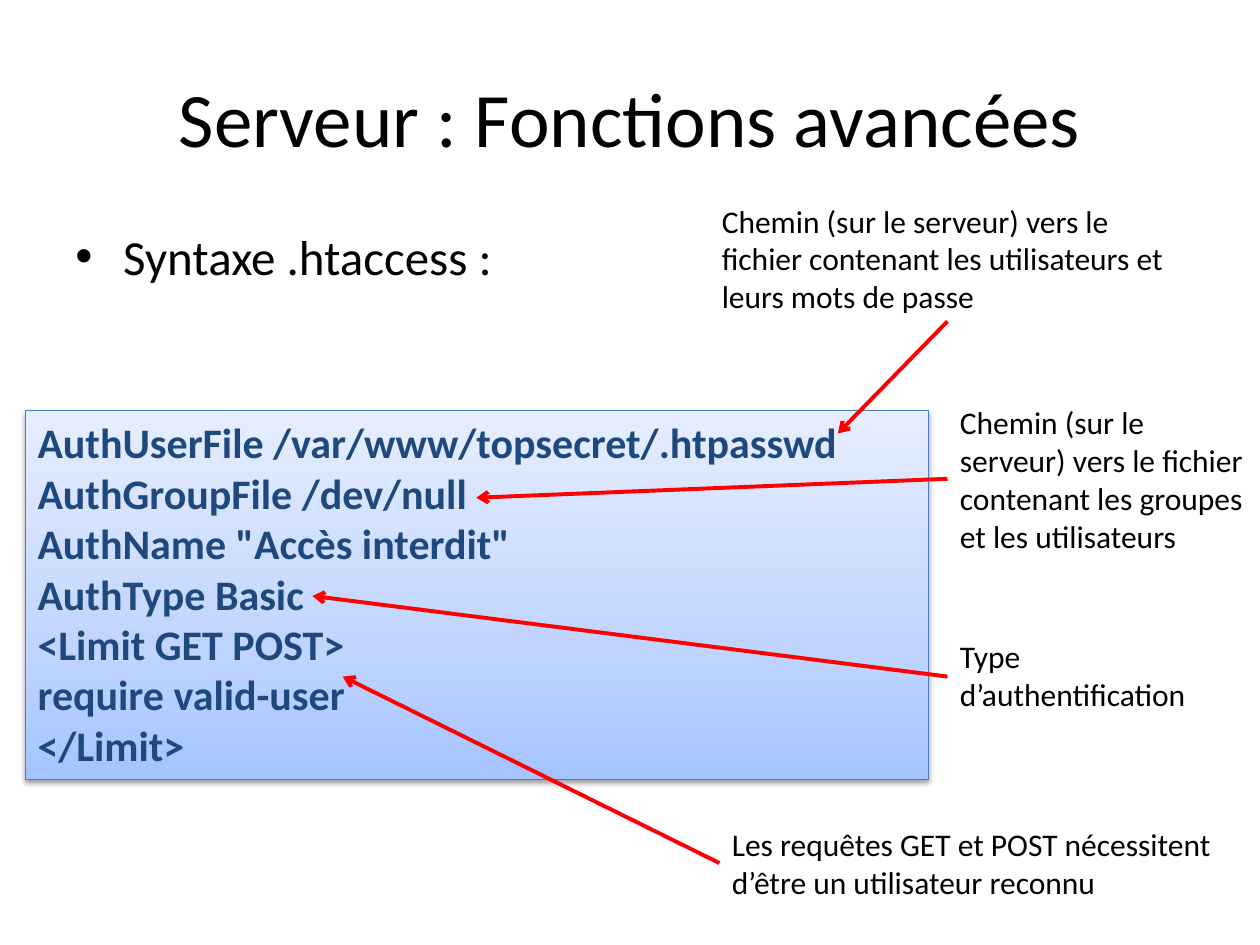
from lxml.etree import SubElement
from pptx import Presentation
from pptx.dml.color import RGBColor
from pptx.enum.shapes import MSO_CONNECTOR, MSO_SHAPE
from pptx.enum.text import MSO_ANCHOR, PP_ALIGN
from pptx.oxml.ns import qn
from pptx.util import Inches, Pt

FONT = "Calibri"
BLACK, NAVY, BLUE, RED = "000000", "1F497D", "4B7EBC", "FF0000"
GRADIENT = [(0, "A4C4FF"), (35, "BFD4FF"), (100, "E6EEFF")]

DIRECTIVES = [
    "AuthUserFile /var/www/topsecret/.htpasswd",
    "AuthGroupFile /dev/null",
    'AuthName "Accès interdit"',
    "AuthType Basic",
    "<Limit GET POST>",
    "require valid-user",
    "</Limit>",
]

# Each note: text, box, arrow start, arrow end
NOTES = [
    ("Chemin (sur le serveur) vers le fichier contenant les utilisateurs et leurs mots de passe",
     (5.63, 1.55, 3.78, 1.01), (7.52, 2.55), (6.65, 3.44)),
    ("Chemin (sur le serveur) vers le fichier contenant les groupes et les utilisateurs",
     (7.52, 3.15, 2.48, 1.31), (7.52, 3.8), (3.78, 3.95)),
    ("Type d’authentification",
     (7.52, 5.01, 2.48, 0.71), (7.52, 5.37), (2.48, 4.73)),
    ("Les requêtes GET et POST nécessitent d’être un utilisateur reconnu",
     (5.71, 6.5, 4.09, 0.71), (5.71, 6.85), (2.72, 5.37)),
]


def color(value):
    return RGBColor.from_string(value)


def inches(values):
    return [Inches(value) for value in values]


def add_child(parent, tag, **attributes):
    return SubElement(parent, qn(tag), {key: str(value) for key, value in attributes.items()})


def write_lines(frame, lines, size, ink=BLACK, bold=False, align=PP_ALIGN.LEFT):
    frame.word_wrap = True
    for index, line in enumerate(lines):
        para = frame.paragraphs[0] if index == 0 else frame.add_paragraph()
        para.alignment = align
        span = para.add_run()
        span.text = line
        for name, value in {"name": FONT, "size": Pt(size), "bold": bold}.items():
            setattr(span.font, name, value)
        span.font.color.rgb = color(ink)


def add_text(page, box, text, size, **style):
    frame = page.shapes.add_textbox(*inches(box)).text_frame
    write_lines(frame, [text], size, **style)
    return frame


def add_title(page, box):
    frame = add_text(page, box, "Serveur : Fonctions avancées", 44, align=PP_ALIGN.CENTER)
    frame.vertical_anchor = MSO_ANCHOR.MIDDLE


def add_bullet(page, box):
    para = add_text(page, box, "Syntaxe .htaccess :", 28).paragraphs[0]
    para.space_before = Pt(5.6)
    properties = para._p.get_or_add_pPr()
    properties.set("marL", str(Inches(0.38)))
    properties.set("indent", str(-Inches(0.38)))
    add_child(properties, "a:buFont", typeface="Arial")
    add_child(properties, "a:buChar", char="•")


def fill_gradient(shape):
    shape.fill.gradient()
    shape.fill.gradient_angle = 90
    stops = shape._element.spPr.find(qn("a:gradFill")).find(qn("a:gsLst"))
    for stop in list(stops):
        stops.remove(stop)
    for percent, value in GRADIENT:
        stop = add_child(stops, "a:gs", pos=percent * 1000)
        add_child(stop, "a:srgbClr", val=value)


def add_shadow(shape):
    shape.shadow.inherit = False
    effects = shape._element.spPr.find(qn("a:effectLst"))
    shadow = add_child(effects, "a:outerShdw", blurRad=Pt(3.1), dist=Pt(1.6),
                       dir=90 * 60000, rotWithShape=0)
    tint = add_child(shadow, "a:srgbClr", val=BLACK)
    add_child(tint, "a:alpha", val=38000)


def add_code_panel(page, box):
    panel = page.shapes.add_shape(MSO_SHAPE.RECTANGLE, *inches(box))
    fill_gradient(panel)
    panel.line.color.rgb = color(BLUE)
    panel.line.width = Pt(0.75)
    add_shadow(panel)
    panel.text_frame.vertical_anchor = MSO_ANCHOR.TOP
    write_lines(panel.text_frame, DIRECTIVES, 24, ink=NAVY, bold=True)


def add_arrow(page, start, end):
    arrow = page.shapes.add_connector(MSO_CONNECTOR.STRAIGHT, *inches(start + end))
    arrow.line.color.rgb = color(RED)
    arrow.line.width = Pt(2.25)
    add_child(arrow.line._get_or_add_ln(), "a:tailEnd", type="arrow")
    add_child(arrow._element.spPr, "a:effectLst")


def add_notes(page):
    for text, box, _, _ in NOTES:
        add_text(page, box, text, 18)
    for _, _, start, end in NOTES:
        add_arrow(page, start, end)


def main():
    deck = Presentation()
    deck.slide_width, deck.slide_height = Inches(10), Inches(7.5)
    page = deck.slides.add_slide(deck.slide_layouts[6])
    add_title(page, (0.5, 0.3, 9, 1.25))
    add_bullet(page, (0.5, 1.75, 9, 1.24))
    add_code_panel(page, (0.2, 3.26, 7.17, 2.93))
    add_notes(page)
    deck.save("out.pptx")


if __name__ == "__main__":
    main()
